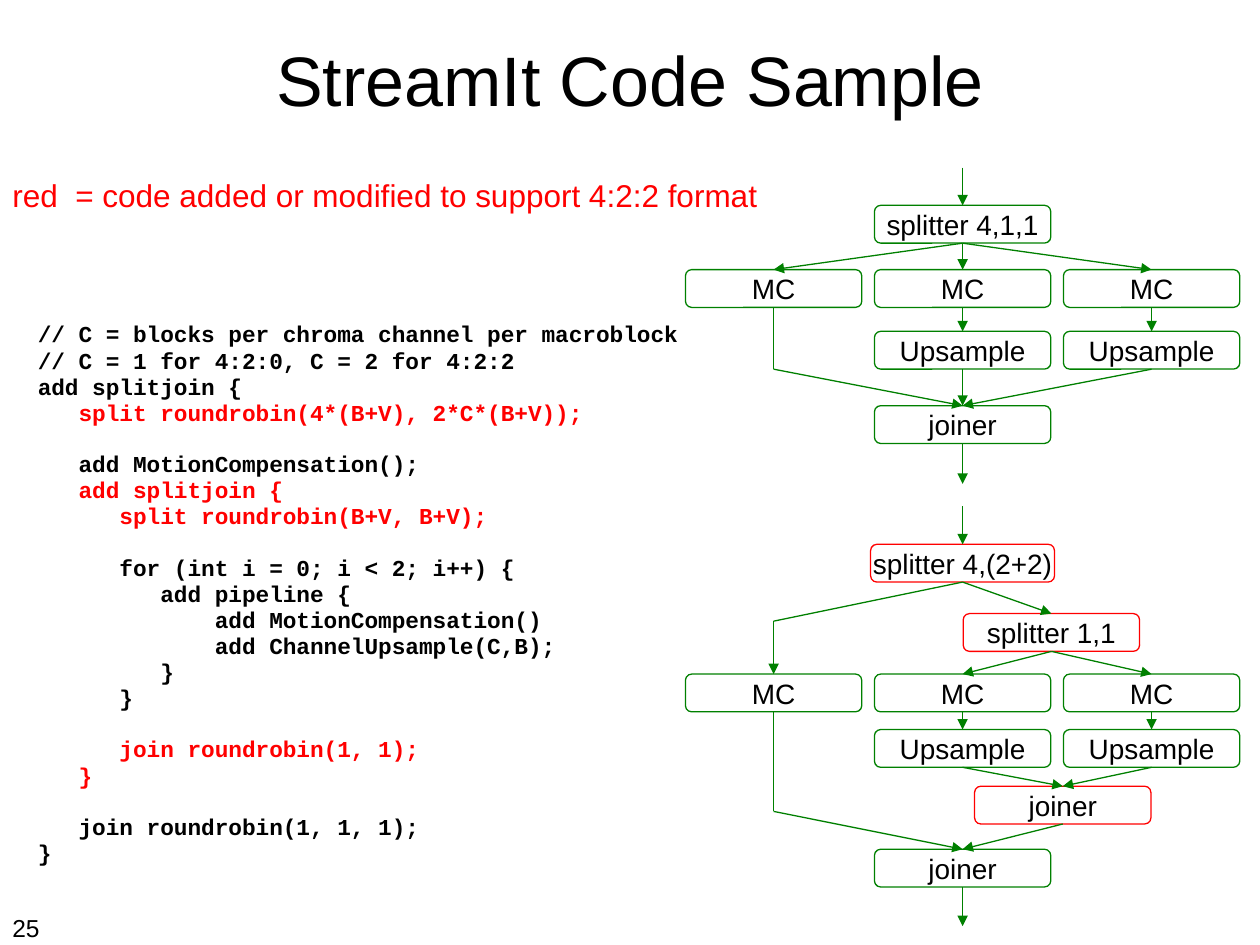
import pptx
import pptx.util
import pptx.dml.color
import pptx.enum.shapes
import pptx.enum.text
import pptx.oxml
import pptx.oxml.ns
import pptx.oxml.xmlchemy

Inches = pptx.util.Inches
Pt = pptx.util.Pt
qn = pptx.oxml.ns.qn
OxmlElement = pptx.oxml.xmlchemy.OxmlElement
ALIGN = pptx.enum.text.PP_ALIGN
BLACK = pptx.dml.color.RGBColor(0, 0, 0)
RED = pptx.dml.color.RGBColor(255, 0, 0)
GREEN = pptx.dml.color.RGBColor(0, 128, 0)

COL_X, COL_W = 6.14, 1.5
BOX_W, BOX_H = 1.4, 0.3
CODE_PT, LINE_GAP, LINE_PITCH = 13, 4, 14.3

TITLE = {"name": "Arial", "size": Pt(40), "bold": False}
NOTE = {"name": "Arial", "size": Pt(18)}
LABEL = {"name": "Arial", "size": Pt(16)}
NUMBER = {"name": "Arial", "size": Pt(14)}
CODE = {"name": "Courier New", "size": Pt(CODE_PT), "bold": True}

LISTING = [
    ("// C = blocks per chroma channel per macroblock", BLACK),
    ("// C = 1 for 4:2:0, C = 2 for 4:2:2", BLACK),
    ("add splitjoin {", BLACK),
    ("   split roundrobin(4*(B+V), 2*C*(B+V));", RED),
    None,
    ("   add MotionCompensation();", BLACK),
    ("   add splitjoin {", RED),
    ("      split roundrobin(B+V, B+V);", RED),
    None,
    ("      for (int i = 0; i < 2; i++) {", BLACK),
    ("         add pipeline {", BLACK),
    ("             add MotionCompensation()", BLACK),
    ("             add ChannelUpsample(C,B);", BLACK),
    ("         }", BLACK),
    ("      }", BLACK),
    None,
    ("      join roundrobin(1, 1);", RED),
    ("   }", RED),
    None,
    ("   join roundrobin(1, 1, 1);", BLACK),
    ("}", BLACK),
]

DIAGRAMS = [
    {
        "boxes": {
            "split": ("splitter 4,1,1", 1, 1.63, GREEN),
            "mc0": ("MC", 0, 2.14, GREEN),
            "mc1": ("MC", 1, 2.14, GREEN),
            "mc2": ("MC", 2, 2.14, GREEN),
            "up1": ("Upsample", 1, 2.63, GREEN),
            "up2": ("Upsample", 2, 2.63, GREEN),
            "join": ("joiner", 1, 3.22, GREEN),
        },
        "links": [
            ((1, 1.33), "split", True),
            ("split", "mc0", True), ("split", "mc1", True), ("split", "mc2", True),
            ("mc1", "up1", True), ("mc2", "up2", True),
            ("up1", "join", True), ("up2", "join", True),
            ("mc0", (0, 2.93), False), ((0, 2.93), "join", True),
            ("join", (1, 3.84), True),
        ],
    },
    {
        "boxes": {
            "split": ("splitter 4,(2+2)", 1, 4.32, RED),
            "split_in": ("splitter 1,1", 1.47, 4.87, RED),
            "mc0": ("MC", 0, 5.35, GREEN),
            "mc1": ("MC", 1, 5.35, GREEN),
            "mc2": ("MC", 2, 5.35, GREEN),
            "up1": ("Upsample", 1, 5.79, GREEN),
            "up2": ("Upsample", 2, 5.79, GREEN),
            "join_in": ("joiner", 1.53, 6.24, RED),
            "join": ("joiner", 1, 6.74, GREEN),
        },
        "links": [
            ((1, 4.02), "split", True),
            ("split", (0, 4.93), False), ((0, 4.93), "mc0", True),
            ("split", "split_in", True),
            ("split_in", "mc1", True), ("split_in", "mc2", True),
            ("mc1", "up1", True), ("mc2", "up2", True),
            ("up1", "join_in", True), ("up2", "join_in", True),
            ("join_in", "join", True),
            ("mc0", (0, 6.44), False), ((0, 6.44), "join", True),
            ("join", (1, 7.35), True),
        ],
    },
]


def write(p, text, fmt, color, align=ALIGN.LEFT):
    p.alignment = align
    r = p.add_run()
    r.text = text
    for key, value in fmt.items():
        setattr(r.font, key, value)
    r.font.color.rgb = color


def link(shapes, boxes, start, end, arrow):
    points = []
    for node, site in ((start, 2), (end, 0)):
        if node in boxes:
            sp = boxes[node]
            points += [sp.left + sp.width // 2, sp.top + sp.height * site // 2]
        else:
            points += [Inches(COL_X + node[0] * COL_W), Inches(node[1])]
    cx = shapes.add_connector(pptx.enum.shapes.MSO_CONNECTOR.STRAIGHT, *points)
    if start in boxes:
        cx.begin_connect(boxes[start], 2)
    if end in boxes:
        cx.end_connect(boxes[end], 0)
    cx.line.color.rgb = GREEN
    cx.line.width = Pt(0.75)
    spPr = cx._element.spPr
    if arrow:
        tail = OxmlElement("a:tailEnd")
        tail.set("type", "triangle")
        spPr.find(qn("a:ln")).append(tail)
    spPr.append(OxmlElement("a:effectLst"))


prs = pptx.Presentation()
prs.slide_width, prs.slide_height = Inches(10), Inches(7.5)
W, H = prs.slide_width, prs.slide_height
s = prs.slides.add_slide(prs.slide_layouts[1])

title, body = s.placeholders
title.left, title.top, title.width, title.height = int(W * 0.05), 0, int(W * 0.9), H // 6
write(title.text_frame.paragraphs[0], "StreamIt Code Sample", TITLE, BLACK, ALIGN.CENTER)

body.left, body.top, body.width, body.height = int(W * 0.02), int(H * 0.34), int(W * 0.68), int(H * 0.61)
tf = body.text_frame
tf.auto_size = pptx.enum.text.MSO_AUTO_SIZE.NONE
gap = 0
for line in LISTING:
    if line is None:
        gap += LINE_PITCH
        continue
    text, color = line
    p = tf.add_paragraph() if tf.text else tf.paragraphs[0]
    pPr = p._p.get_or_add_pPr()
    pPr.set("marL", str(Inches(0.38)))
    pPr.set("indent", str(-Inches(0.38)))
    pPr.append(OxmlElement("a:buNone"))
    p.line_spacing = 0.7
    p.space_before = Pt(gap)
    write(p, text, CODE, color)
    gap = LINE_GAP

for text, top, width, height, fmt, color in (
    ("red  = code added or modified to support 4:2:2 format", 0.18, 0.76, 0.05, NOTE, RED),
    ("25", 0.96, 0.05, 0.04, NUMBER, BLACK),
):
    sp = s.shapes.add_textbox(0, int(H * top), int(W * width), int(H * height))
    sp.text_frame.word_wrap = True
    write(sp.text_frame.paragraphs[0], text, fmt, color)

for diagram in DIAGRAMS:
    shapes = s.shapes.add_group_shape().shapes
    boxes = {}
    for name, (text, col, top, color) in diagram["boxes"].items():
        width = 1.46 if text == "splitter 4,(2+2)" else BOX_W
        sp = shapes.add_shape(
            pptx.enum.shapes.MSO_SHAPE.ROUNDED_RECTANGLE,
            Inches(COL_X + col * COL_W - width / 2), Inches(top), Inches(width), Inches(BOX_H))
        sp.shadow.inherit = False
        sp.fill.background()
        sp.line.color.rgb = color
        sp.line.width = Pt(0.75)
        tf = sp.text_frame
        tf.word_wrap = False
        tf.vertical_anchor = pptx.enum.text.MSO_ANCHOR.MIDDLE
        write(tf.paragraphs[0], text, LABEL, BLACK, ALIGN.CENTER)
        boxes[name] = sp
    for start, end, arrow in diagram["links"]:
        link(shapes, boxes, start, end, arrow)

prs.save("out.pptx")
